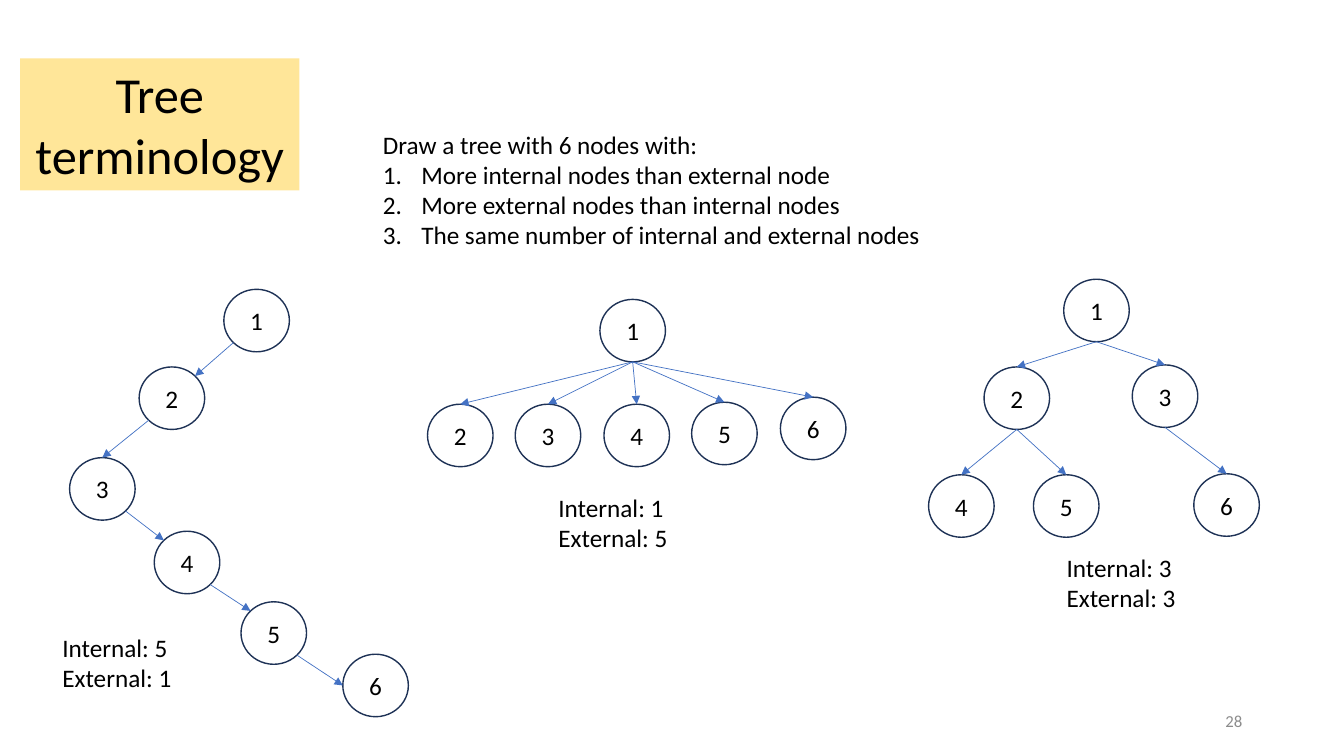
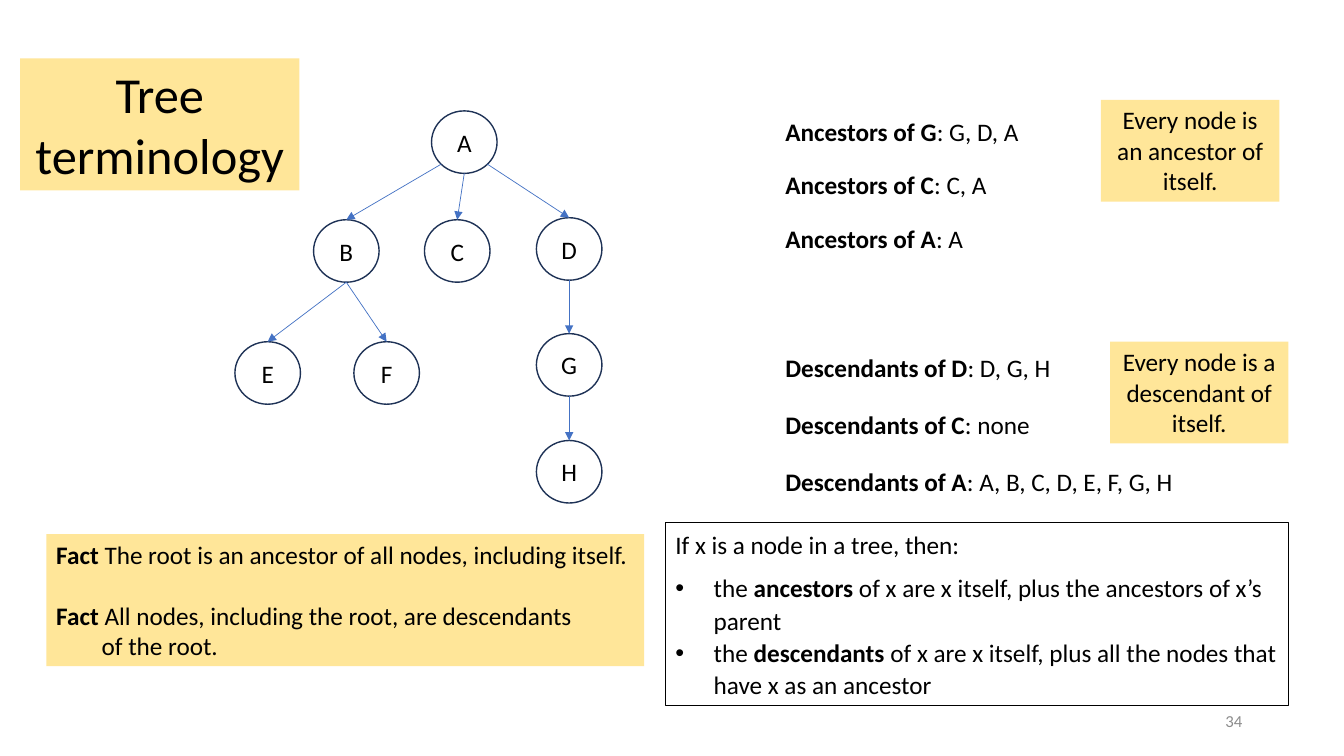
"""Build two slides on tree terminology: node counts, then ancestors and descendants."""
from dataclasses import dataclass
from enum import IntEnum
from math import cos, pi, sin
from typing import Optional

from lxml.etree import SubElement
from pptx import Presentation
from pptx.dml.color import RGBColor
from pptx.enum.shapes import MSO_CONNECTOR, MSO_SHAPE
from pptx.enum.text import MSO_ANCHOR as Anchor, PP_ALIGN as Align
from pptx.oxml.ns import qn
from pptx.util import Inches, Pt

BLACK = RGBColor(0x00, 0x00, 0x00)
GREY = RGBColor(0x8C, 0x8C, 0x8C)
YELLOW = RGBColor(0xFF, 0xE6, 0x99)
NAVY = RGBColor(0x1E, 0x32, 0x56)
BLUE = RGBColor(0x44, 0x72, 0xC4)

FONT = "Calibri"
NODE_WIDTH, NODE_HEIGHT = 0.65, 0.62
LIST_INDENT = 0.38
BLANK_LAYOUT = 6


class Site(IntEnum):
    """Connection sites of an ellipse, counted anticlockwise from the top."""
    TOP = 0
    TOP_LEFT = 1
    LEFT = 2
    BOTTOM_LEFT = 3
    BOTTOM = 4
    BOTTOM_RIGHT = 5
    TOP_RIGHT = 7


@dataclass(frozen=True)
class Area:
    """A rectangle on the slide, in inches."""
    left: float
    top: float
    width: float
    height: float

    def lengths(self):
        """Return left, top, width and height as lengths."""
        return tuple(Inches(v) for v in (self.left, self.top, self.width, self.height))


@dataclass(frozen=True)
class Para:
    """A paragraph; stretches between asterisks are bold."""
    text: str
    bullet: str = ""
    indent: float = 0
    before: float = 0
    after: float = 0
    spacing: Optional[float] = None


@dataclass(frozen=True)
class Edge:
    """An arrow from a parent node to a child node."""
    parent: str
    child: str
    start: Site = Site.BOTTOM
    end: Site = Site.TOP


@dataclass(frozen=True)
class Tree:
    """Node positions by label, and the edges between them."""
    nodes: dict[str, tuple[float, float]]
    edges: tuple[Edge, ...]


@dataclass(frozen=True)
class Relation:
    """A line that lists the relatives of one node."""
    text: str
    width: float


CHAIN = Tree(
    {"1": (2.22, 2.87), "2": (1.38, 3.64), "3": (0.69, 4.54),
     "4": (1.53, 5.27), "5": (2.39, 5.97), "6": (3.4, 6.49)},
    (Edge("1", "2", Site.BOTTOM_LEFT, Site.TOP_RIGHT),
     Edge("2", "3", Site.BOTTOM_LEFT),
     Edge("3", "4", Site.BOTTOM_RIGHT, Site.TOP_LEFT),
     Edge("4", "5", Site.BOTTOM_RIGHT, Site.TOP_LEFT),
     Edge("5", "6", Site.BOTTOM_RIGHT, Site.LEFT)))
FAN = Tree(
    {"1": (5.95, 2.97), "2": (4.24, 4.01), "3": (5.11, 4.01),
     "4": (5.99, 4.01), "5": (6.86, 3.99), "6": (7.74, 3.94)},
    tuple(Edge("1", child) for child in "23456"))
BALANCED = Tree(
    {"1": (10.55, 2.77), "2": (9.76, 3.64), "3": (11.23, 3.62),
     "4": (9.21, 4.71), "5": (10.25, 4.71), "6": (11.84, 4.7)},
    tuple(Edge(parent, child) for parent, child in ("12", "13", "24", "25", "36")))
FAMILY = Tree(
    {"A": (4.28, 1.1), "B": (3.11, 2.18), "C": (4.21, 2.18), "D": (5.32, 2.16),
     "E": (2.33, 3.39), "F": (3.51, 3.39), "G": (5.32, 3.31), "H": (5.32, 4.37)},
    (Edge("A", "B", Site.BOTTOM_LEFT), Edge("A", "C"), Edge("A", "D", Site.BOTTOM_RIGHT),
     *(Edge(parent, child) for parent, child in ("BE", "BF", "DG", "GH"))))

ANCESTORS = (Relation("*Ancestors of G*: G, D, A", 2.54),
             Relation("*Ancestors of C*: C, A", 2.22),
             Relation("*Ancestors of A*: A", 1.98))
DESCENDANTS = (Relation("*Descendants of D*: D, G, H", 2.86),
               Relation("*Descendants of C*: none", 2.65),
               Relation("*Descendants of A*: A, B, C, D, E, F, G, H", 4.08))


def write(frame, *paras, size=18, color=BLACK, align=Align.LEFT,
          anchor=Anchor.TOP, wrap=True) -> None:
    """Fill a text frame with paragraphs in one format."""
    frame.word_wrap = wrap
    frame.vertical_anchor = anchor
    for number, para in enumerate(paras):
        para = Para(para) if isinstance(para, str) else para
        line = frame.add_paragraph() if number else frame.paragraphs[0]
        line.alignment = align
        if para.before:
            line.space_before = Pt(para.before)
        if para.after:
            line.space_after = Pt(para.after)
        if para.spacing:
            line.line_spacing = para.spacing
        set_indent(line, para)
        for part, text in enumerate(para.text.split("*")):
            if text:
                run = line.add_run()
                run.text = text
                run.font.name, run.font.size = FONT, Pt(size)
                run.font.bold = part % 2 == 1
                run.font.color.rgb = color


def set_indent(line, para: Para) -> None:
    """Give a paragraph its indent and its bullet or number."""
    properties = line._p.get_or_add_pPr()
    if para.bullet:
        properties.set("marL", str(Inches(LIST_INDENT)))
        properties.set("indent", str(-Inches(LIST_INDENT)))
        if para.bullet == "1.":
            SubElement(properties, qn("a:buAutoNum"), type="arabicPeriod")
        else:
            SubElement(properties, qn("a:buFont"), typeface="Arial")
            SubElement(properties, qn("a:buChar"), char=para.bullet)
    elif para.indent:
        properties.set("marL", str(Inches(para.indent)))


def add_label(slide, area: Area, *paras, **text_format) -> None:
    """Add a plain text box."""
    write(slide.shapes.add_textbox(*area.lengths()).text_frame, *paras, **text_format)


def add_panel(slide, area: Area, *paras, fill=None, line=None, line_width=0.75,
              kind=MSO_SHAPE.RECTANGLE, **text_format):
    """Add a shape that holds text, with an optional fill and outline."""
    panel = slide.shapes.add_shape(kind, *area.lengths())
    panel.shadow.inherit = False
    if fill is None:
        panel.fill.background()
    else:
        panel.fill.solid()
        panel.fill.fore_color.rgb = fill
    if line is None:
        panel.line.fill.background()
    else:
        panel.line.color.rgb = line
        panel.line.width = Pt(line_width)
    write(panel.text_frame, *paras, **text_format)
    return panel


def add_node(slide, label: str, left: float, top: float):
    """Add one labelled tree node."""
    node = add_panel(slide, Area(left, top, NODE_WIDTH, NODE_HEIGHT), label,
                     line=NAVY, line_width=1, kind=MSO_SHAPE.OVAL,
                     align=Align.CENTER, anchor=Anchor.MIDDLE, wrap=False)
    frame = node.text_frame
    frame.margin_left = frame.margin_right = frame.margin_top = frame.margin_bottom = 0
    return node


def site_point(position: tuple[float, float], site: Site):
    """Return the place of a connection site on a node."""
    left, top = position
    angle = site * pi / 4
    return (Inches(left + NODE_WIDTH * (1 - sin(angle)) / 2),
            Inches(top + NODE_HEIGHT * (1 - cos(angle)) / 2))


def add_tree(slide, tree: Tree) -> None:
    """Draw the nodes of a tree and the arrows attached to them."""
    nodes = {label: add_node(slide, label, *position)
             for label, position in tree.nodes.items()}
    for edge in tree.edges:
        arrow = slide.shapes.add_connector(
            MSO_CONNECTOR.STRAIGHT,
            *site_point(tree.nodes[edge.parent], edge.start),
            *site_point(tree.nodes[edge.child], edge.end))
        arrow.line.color.rgb = BLUE
        arrow.line.width = Pt(0.5)
        element = arrow._element
        SubElement(element.find(".//" + qn("a:ln")), qn("a:tailEnd"), type="triangle")
        SubElement(element.spPr, qn("a:effectLst"))
        links = element.find(".//" + qn("p:cNvCxnSpPr"))
        for tag, label, site in (("a:stCxn", edge.parent, edge.start),
                                 ("a:endCxn", edge.child, edge.end)):
            SubElement(links, qn(tag), id=str(nodes[label].shape_id), idx=str(int(site)))


def add_counts(slide, left: float, top: float, internal: int, external: int) -> None:
    """State how many internal and external nodes a tree has."""
    add_label(slide, Area(left, top, 1.3, 0.71), f"Internal: {internal}",
              f"External: {external}", wrap=False)


def add_relations(slide, top: float, step: float, relations: tuple[Relation, ...]) -> None:
    """Stack relation lines at an equal distance."""
    for row, relation in enumerate(relations):
        add_label(slide, Area(7.69, top + row * step, relation.width, 0.4),
                  relation.text, wrap=False)


def start_slide(deck, number: int):
    """Add a blank slide with the shared title and a slide number."""
    slide = deck.slides.add_slide(deck.slide_layouts[BLANK_LAYOUT])
    add_panel(slide, Area(0.2, 0.58, 2.77, 1.31), "Tree terminology",
              fill=YELLOW, size=36, align=Align.CENTER)
    add_label(slide, Area(9.42, 6.95, 3, 0.4), str(number), size=12, color=GREY,
              align=Align.RIGHT, anchor=Anchor.MIDDLE)
    return slide


def build_counting_slide(deck) -> None:
    """Show three trees with different internal and external counts."""
    slide = start_slide(deck, 28)
    tasks = ("More internal nodes than external node",
             "More external nodes than internal nodes",
             "The same number of internal and external nodes")
    add_label(slide, Area(3.7, 1.23, 5.61, 1.31), "Draw a tree with 6 nodes with:",
              *(Para(task, bullet="1.") for task in tasks), wrap=False)
    for tree in (CHAIN, FAN, BALANCED):
        add_tree(slide, tree)
    add_counts(slide, 0.52, 6.22, internal=5, external=1)
    add_counts(slide, 5.44, 4.83, internal=1, external=5)
    add_counts(slide, 10.48, 5.43, internal=3, external=3)


def build_relatives_slide(deck) -> None:
    """Show a tree with its ancestors, descendants and definitions."""
    slide = start_slide(deck, 34)
    add_tree(slide, FAMILY)
    add_relations(slide, 1.1, 0.535, ANCESTORS)
    add_relations(slide, 3.45, 0.565, DESCENDANTS)
    for left, top, role in ((10.92, 0.99, "an ancestor"), (11.01, 3.39, "a descendant")):
        add_panel(slide, Area(left, top, 1.77, 1.01), f"Every node is {role} of",
                  "itself.", fill=YELLOW, align=Align.CENTER)
    add_panel(
        slide, Area(6.6, 5.18, 6.18, 1.82),
        Para("If x is a node in a tree, then:", after=8, spacing=1.07),
        Para("the *ancestors* of x are x itself, plus the ancestors of x’s parent",
             bullet="•", spacing=1.07),
        Para("the *descendants* of x are x itself, plus all the nodes that have x "
             "as an ancestor", bullet="•", after=8, spacing=1.07),
        line=BLACK)
    add_panel(
        slide, Area(0.46, 5.3, 5.93, 1.31),
        "*Fact* The root is an ancestor of all nodes, including itself.",
        Para("*Fact* All nodes, including the root, are descendants", before=22),
        Para("of the root.", indent=0.45), fill=YELLOW)


def main() -> None:
    """Build and save the presentation."""
    deck = Presentation()
    deck.slide_width, deck.slide_height = Inches(13.33), Inches(7.5)
    build_counting_slide(deck)
    build_relatives_slide(deck)
    deck.save("out.pptx")


if __name__ == "__main__":
    main()
